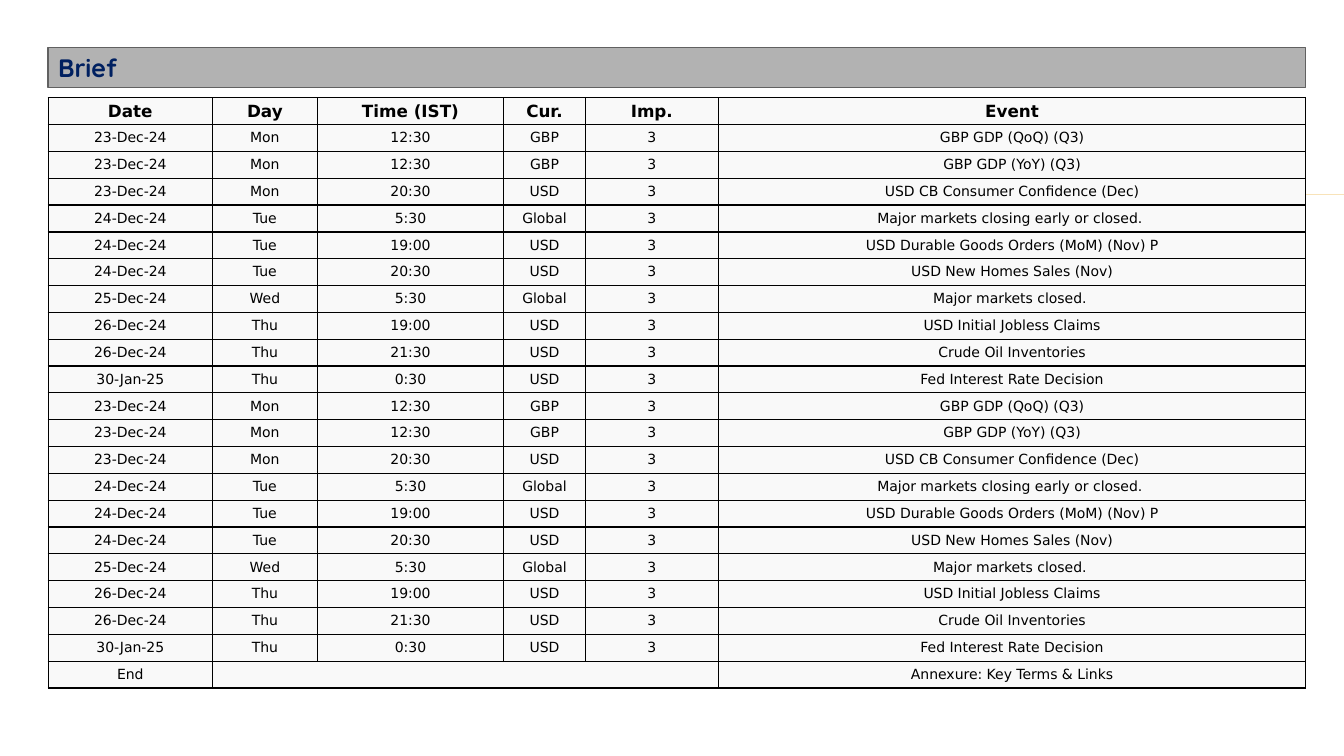
import pptx
import pptx.util
import pptx.dml.color
import pptx.enum.shapes
import pptx.enum.text
import pptx.oxml.ns
from lxml import etree

Pt = pptx.util.Pt
RGB = pptx.dml.color.RGBColor
BOX = pptx.enum.shapes.MSO_SHAPE.RECTANGLE
MID = pptx.enum.text.MSO_ANCHOR.MIDDLE
ALIGN = pptx.enum.text.PP_ALIGN
qn = pptx.oxml.ns.qn

TITLE = "Brief"
HEAD = ("Date", "Day", "Time (IST)", "Cur.", "Imp.", "Event")
WEEK = [
    ("23-Dec-24", "Mon", "12:30", "GBP", "3", "GBP GDP (QoQ) (Q3)"),
    ("23-Dec-24", "Mon", "12:30", "GBP", "3", "GBP GDP (YoY) (Q3)"),
    ("23-Dec-24", "Mon", "20:30", "USD", "3", "USD CB Consumer Confidence (Dec)"),
    ("24-Dec-24", "Tue", "5:30", "Global", "3", "Major markets closing early or closed. "),
    ("24-Dec-24", "Tue", "19:00", "USD", "3", "USD Durable Goods Orders (MoM) (Nov) P"),
    ("24-Dec-24", "Tue", "20:30", "USD", "3", "USD New Homes Sales (Nov)"),
    ("25-Dec-24", "Wed", "5:30", "Global", "3", "Major markets closed. "),
    ("26-Dec-24", "Thu", "19:00", "USD", "3", "USD Initial Jobless Claims"),
    ("26-Dec-24", "Thu", "21:30", "USD", "3", "Crude Oil Inventories"),
    ("30-Jan-25", "Thu", "0:30", "USD", "3", "Fed Interest Rate Decision"),
]
LAST = ("End", "", "", "", "", "Annexure: Key Terms & Links")
ROWS = [HEAD] + WEEK * 2 + [LAST]

BLACK = RGB(0x00, 0x00, 0x00)
NAVY = RGB(0x00, 0x20, 0x60)
GRAY = RGB(0xB2, 0xB2, 0xB2)
EDGE = RGB(0x61, 0x61, 0x61)
PALE = RGB(0xF9, 0xF9, 0xF9)
GOLD = RGB(0xED, 0xB2, 0x3B)

PAGE_W, PAGE_H = 960, 540
LEFT = 34.4
COLS = (117.36, 74.88, 133.2, 58.32, 95.04, 419.5)
WIDE = sum(COLS)
BAR_TOP, BAR_H = 33.84, 28.8
GRID_TOP, ROW_H = 69.84, 19.17
RULE_X, RULE_Y = 258.48, 138.96

HEAD_FONT = {"name": "DejaVu Sans", "size": Pt(12), "bold": True}
BODY_FONT = {"name": "DejaVu Sans", "size": Pt(10), "bold": False}
BAR_FONT = {"name": "Quicksand", "size": Pt(18), "bold": True}
SIDES = ("left", "right", "top", "bottom")


def style(font, form, color):
    for key, val in form.items():
        setattr(font, key, val)
    font.color.rgb = color


def border(cell):
    props = cell._tc.get_or_add_tcPr()
    for tag in ("a:lnL", "a:lnR", "a:lnT", "a:lnB"):
        line = etree.SubElement(props, qn(tag), w=str(Pt(1)))
        fill = etree.SubElement(line, qn("a:solidFill"))
        etree.SubElement(fill, qn("a:srgbClr"), val=str(BLACK))


def fill_cell(cell, text, form, inset):
    border(cell)
    cell.fill.solid()
    cell.fill.fore_color.rgb = PALE
    cell.vertical_anchor = MID
    for side in SIDES:
        setattr(cell, "margin_" + side, Pt(0 if side == "bottom" else inset))
    para = cell.text_frame.paragraphs[0]
    para.alignment = ALIGN.CENTER
    if text:
        run = para.add_run()
        run.text = text
        style(run.font, form, BLACK)
    else:
        # An empty cell needs a small end mark, or its row grows.
        etree.SubElement(para._p, qn("a:endParaRPr"), sz="1000")


def add_box(slide, left, top, width, height, color):
    box = slide.shapes.add_shape(BOX, Pt(left), Pt(top), Pt(width), Pt(height))
    box.shadow.inherit = False
    box.fill.solid()
    box.fill.fore_color.rgb = color
    box.line.fill.background()
    return box


def add_bar(slide):
    bar = add_box(slide, LEFT, BAR_TOP, WIDE, BAR_H, GRAY)
    bar.line.color.rgb = EDGE
    bar.line.width = Pt(1)
    bar.text_frame.vertical_anchor = MID
    para = bar.text_frame.paragraphs[0]
    para.alignment = ALIGN.LEFT
    run = para.add_run()
    run.text = TITLE
    style(run.font, BAR_FONT, NAVY)


def add_grid(slide):
    grid = slide.shapes.add_table(
        len(ROWS), len(COLS), Pt(LEFT), Pt(GRID_TOP),
        Pt(WIDE), Pt(ROW_H * len(ROWS))).table
    grid.horz_banding = False
    for col, width in zip(grid.columns, COLS):
        col.width = Pt(width)
    for r, texts in enumerate(ROWS):
        grid.rows[r].height = Pt(ROW_H)
        form, inset = (BODY_FONT, 0) if r else (HEAD_FONT, 0.72)
        for c, text in enumerate(texts):
            fill_cell(grid.cell(r, c), text, form, inset)
    end = len(ROWS) - 1
    grid.cell(end, 1).merge(grid.cell(end, 4))


def main():
    deck = pptx.Presentation()
    deck.slide_width, deck.slide_height = Pt(PAGE_W), Pt(PAGE_H)
    slide = deck.slides.add_slide(deck.slide_layouts[6])
    add_bar(slide)
    add_box(slide, RULE_X, RULE_Y, PAGE_W - RULE_X, 0, GOLD)
    add_grid(slide)
    deck.save("out.pptx")


if __name__ == "__main__":
    main()
